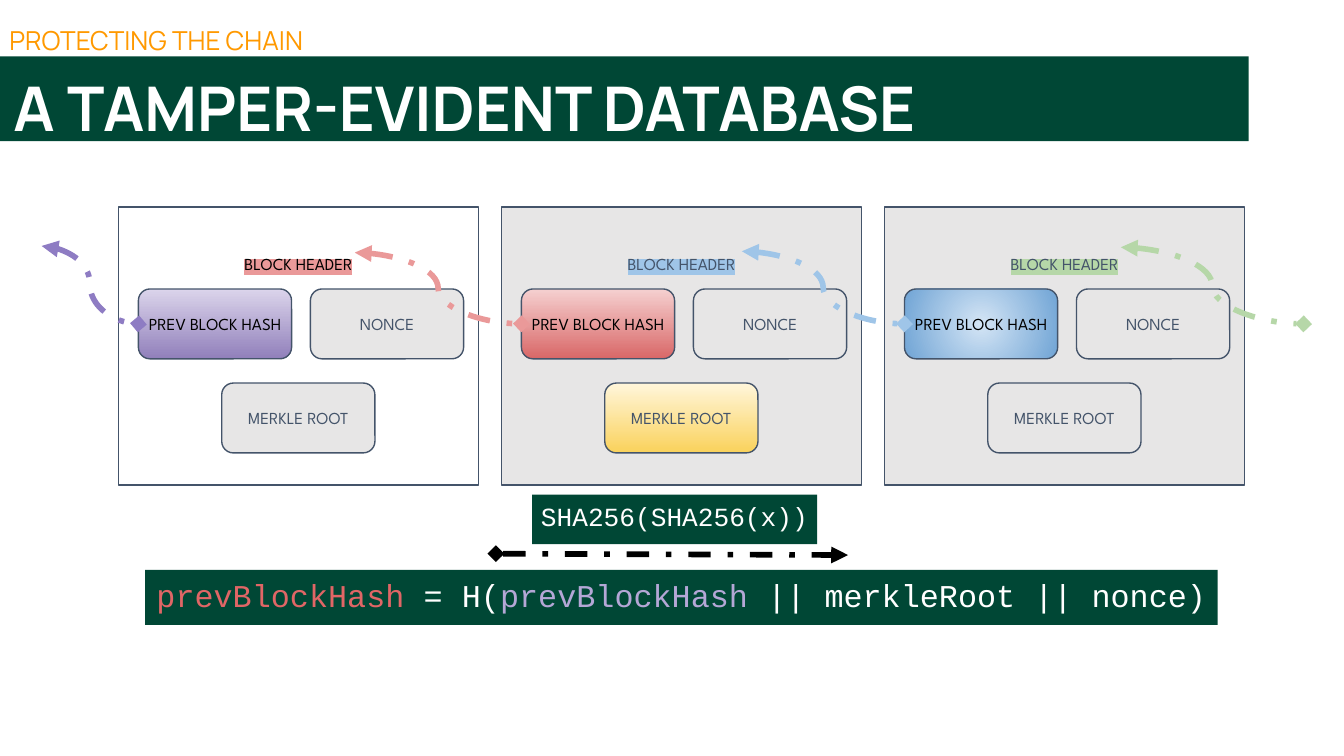
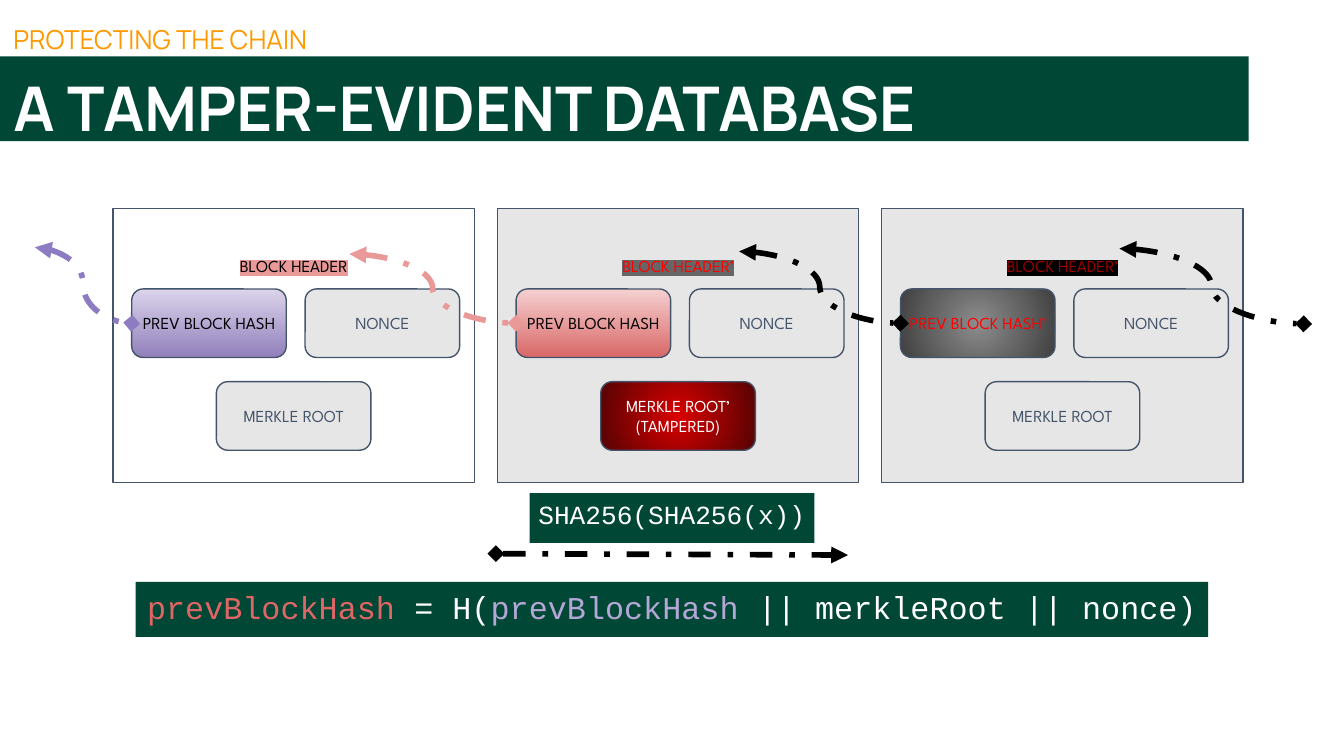
from dataclasses import dataclass

from lxml.etree import SubElement
from pptx import Presentation
from pptx.dml.color import RGBColor
from pptx.enum.dml import MSO_LINE
from pptx.enum.shapes import MSO_CONNECTOR as Connector, MSO_SHAPE as Shape
from pptx.enum.text import MSO_ANCHOR as Anchor, MSO_AUTO_SIZE, PP_ALIGN as Align
from pptx.oxml.ns import qn
from pptx.util import Inches, Pt


@dataclass(frozen=True)
class Theme:
    green: str = "004735"
    orange: str = "FF9900"
    white: str = "FFFFFF"
    black: str = "000000"
    grey: str = "E7E6E6"
    slate: str = "44546A"
    dark_grey: str = "666666"
    red: str = "FF0000"
    dark_red: str = "980000"
    pink: str = "EA9999"
    blue: str = "9FC5E8"
    lime: str = "B6D7A8"
    violet: str = "8E7CC3"
    code_red: str = "E06666"
    code_violet: str = "B4A7D6"
    # Gradients: first colour, last colour, kind
    violet_fade: tuple = ("DBD4EB", "9180BB", "linear")
    pink_fade: tuple = ("F5D0D0", "D96868", "linear")
    gold_fade: tuple = ("FFF6DB", "FAD25C", "linear")
    blue_glow: tuple = ("D4E5F5", "70A4D5", "radial")
    black_glow: tuple = ("8C8C8C", "404040", "radial")
    red_glow: tuple = ("DB0000", "540303", "radial")
    title_font: str = "Manrope"
    label_font: str = "League Spartan"
    code_font: str = "Courier New"
    title_size: int = 33
    kicker_size: int = 14
    label_size: int = 9
    hash_size: int = 14
    formula_size: int = 17


T = Theme()


def write(frame, runs, size, font, align=Align.CENTER, anchor=Anchor.TOP,
          inset=0.04, bold=False):
    """Fill a text frame with (text, colour, optional highlight) runs."""
    frame.word_wrap = True
    frame.auto_size = MSO_AUTO_SIZE.NONE
    frame.vertical_anchor = anchor
    frame.margin_left = frame.margin_right = Inches(inset)
    frame.margin_top = frame.margin_bottom = Inches(inset)
    paragraph = frame.paragraphs[0]
    paragraph.alignment = align
    paragraph.space_before = Pt(0)
    for text, colour, *highlight in runs:
        run = paragraph.add_run()
        run.text = text
        run.font.size = Pt(size)
        run.font.bold = bold
        run.font.name = font
        run.font.color.rgb = RGBColor.from_string(colour)
        if highlight:
            properties = run.font._element
            marker = SubElement(properties, qn("a:highlight"))
            SubElement(marker, qn("a:srgbClr")).set("val", highlight[0])
            properties.find(qn("a:solidFill")).addnext(marker)


def add_arrow(slide, kind, start, end, colour, head, tail):
    arrow = slide.shapes.add_connector(kind, *map(Inches, start + end))
    arrow.line.color.rgb = RGBColor.from_string(colour)
    arrow.line.width = Pt(3)
    arrow.line.dash_style = MSO_LINE.DASH_DOT
    outline = arrow.line._get_or_add_ln()
    SubElement(outline, qn("a:headEnd")).set("type", head)
    SubElement(outline, qn("a:tailEnd")).set("type", tail)
    SubElement(arrow._element.spPr, qn("a:effectLst"))
    return arrow


HEADER, HASH, MERKLE = "BLOCK HEADER", "PREV BLOCK HASH", "MERKLE ROOT"
first_header = (HEADER, T.black, T.pink)
first_hash = (T.violet_fade, HASH, T.black)
second_hash = (T.pink_fade, HASH, T.black)
plain_merkle = (T.grey, MERKLE, T.slate)

# Each block: header run, hash field, Merkle field (fill, text, colour).
# Arrows: start point and colour; each ends at the hash field of its block,
# the last one at the block still to come.
chains = [
    dict(
        left=0.88, top=1.54, step=2.85, block=(2.68, 2.07), field=(1.14, 0.52),
        hash_offset=0.15, merkle_top=2.85, kicker=(-0.03, 0.11),
        hash_at=(3.96, 3.68), formula_at=(1.08, 4.24),
        blocks=[
            (first_header, first_hash, plain_merkle),
            ((HEADER, T.slate, T.blue), second_hash,
             (T.gold_fade, MERKLE, T.slate)),
            ((HEADER, T.slate, T.lime), (T.blue_glow, HASH, T.black),
             plain_merkle),
        ],
        arrows=[((0.31, 1.83), T.violet), ((2.64, 1.88), T.pink),
                ((5.52, 1.87), T.blue), ((8.34, 1.84), T.lime)],
    ),
    dict(
        left=0.84, top=1.55, step=2.86, block=(2.69, 2.04), field=(1.15, 0.51),
        hash_offset=0.14, merkle_top=2.84, kicker=(0, 0.1),
        hash_at=(3.94, 3.67), formula_at=(1.01, 4.33),
        blocks=[
            (first_header, first_hash, plain_merkle),
            ((HEADER + "’", T.red, T.dark_grey), second_hash,
             (T.red_glow, "MERKLE ROOT’ (TAMPERED)", T.white)),
            ((HEADER + "’", T.dark_red, T.black),
             (T.black_glow, HASH + "’", T.red), plain_merkle),
        ],
        arrows=[((0.26, 1.84), T.violet), ((2.6, 1.89), T.pink),
                ((5.5, 1.87), T.black), ((8.33, 1.85), T.black)],
    ),
]
FIELD_TOP = 2.15
formula = [("prevBlockHash", T.code_red), (" = H(", T.white),
           ("prevBlockHash", T.code_violet),
           (" || merkleRoot || nonce)", T.white)]

prs = Presentation()
prs.slide_width = Inches(10)
prs.slide_height = prs.slide_width * 9 // 16

for chain in chains:
    slide = prs.slides.add_slide(prs.slide_layouts[0])

    title, kicker = slide.placeholders
    for holder, place in ((title, (0, 0.42, 9.29, 0.63)),
                          (kicker, (*chain["kicker"], 9.29, 0.43))):
        holder.left, holder.top, holder.width, holder.height = map(Inches, place)
    title.fill.solid()
    title.fill.fore_color.rgb = RGBColor.from_string(T.green)
    write(title.text_frame, [("A TAMPER-EVIDENT DATABASE", T.white)],
          T.title_size, T.title_font, Align.LEFT, inset=0.1, bold=True)
    write(kicker.text_frame, [("PROTECTING THE CHAIN", T.orange)],
          T.kicker_size, T.title_font, Align.LEFT, inset=0.1)
    kicker.text_frame.paragraphs[0].line_spacing = 0.9

    # Blocks with their three fields
    hash_fields = []
    for i, (header, prev_hash, merkle) in enumerate(chain["blocks"]):
        left = chain["left"] + i * chain["step"]
        parts = [
            (Shape.RECTANGLE, 0, chain["top"], chain["block"],
             T.grey if i else T.white, header),
            (Shape.ROUNDED_RECTANGLE, chain["hash_offset"], FIELD_TOP,
             chain["field"], prev_hash[0], prev_hash[1:]),
            (Shape.ROUNDED_RECTANGLE, 1.43, FIELD_TOP, chain["field"],
             T.grey, ("NONCE", T.slate)),
            (Shape.ROUNDED_RECTANGLE, 0.77, chain["merkle_top"], chain["field"],
             merkle[0], merkle[1:]),
        ]
        for outline, offset, top, size, fill, label in parts:
            part = slide.shapes.add_shape(
                outline, *map(Inches, (left + offset, top, *size)))
            part.shadow.inherit = False
            part.line.color.rgb = RGBColor.from_string(T.slate)
            part.line.width = Pt(0.75)
            if isinstance(fill, str):
                part.fill.solid()
                part.fill.fore_color.rgb = RGBColor.from_string(fill)
            else:
                part.fill.gradient()
                part.fill.gradient_angle = 270
                for stop, position, colour in zip(
                        part.fill.gradient_stops, (0, 1), fill):
                    stop.position = position
                    stop.color.rgb = RGBColor.from_string(colour)
                if fill[2] == "radial":
                    gradient = part._element.spPr.find(qn("a:gradFill"))
                    gradient.remove(gradient.find(qn("a:lin")))
                    glow = SubElement(gradient, qn("a:path"))
                    glow.set("path", "circle")
                    centre = SubElement(glow, qn("a:fillToRect"))
                    for side in "ltrb":
                        centre.set(side, "50000")
            write(part.text_frame, [label], T.label_size, T.label_font,
                  anchor=Anchor.MIDDLE)
            if label is header:
                part.text_frame.vertical_anchor = Anchor.TOP
                part.text_frame.margin_top = Inches(0.35)
            elif offset == chain["hash_offset"]:
                hash_fields.append(part)

    # Code bands
    for place, size, runs in (
            ((*chain["hash_at"], 2.12, 0.37), T.hash_size,
             [("SHA256(SHA256(x))", T.white)]),
            ((*chain["formula_at"], 7.98, 0.41), T.formula_size, formula)):
        band = slide.shapes.add_shape(Shape.RECTANGLE, *map(Inches, place))
        band.shadow.inherit = False
        band.fill.solid()
        band.fill.fore_color.rgb = RGBColor.from_string(T.green)
        band.line.fill.background()
        write(band.text_frame, runs, size, T.code_font)

    # Links back to the previous header, then the hashing direction
    for i, (start, colour) in enumerate(chain["arrows"]):
        link = add_arrow(slide, Connector.CURVE, start, (9.7, 2.41), colour,
                         "triangle", "diamond")
        if i < len(hash_fields):
            link.end_connect(hash_fields[i], 1)
    add_arrow(slide, Connector.STRAIGHT, (3.69, 4.12), (6.31, 4.13), T.black,
              "diamond", "triangle")

prs.save("out.pptx")
